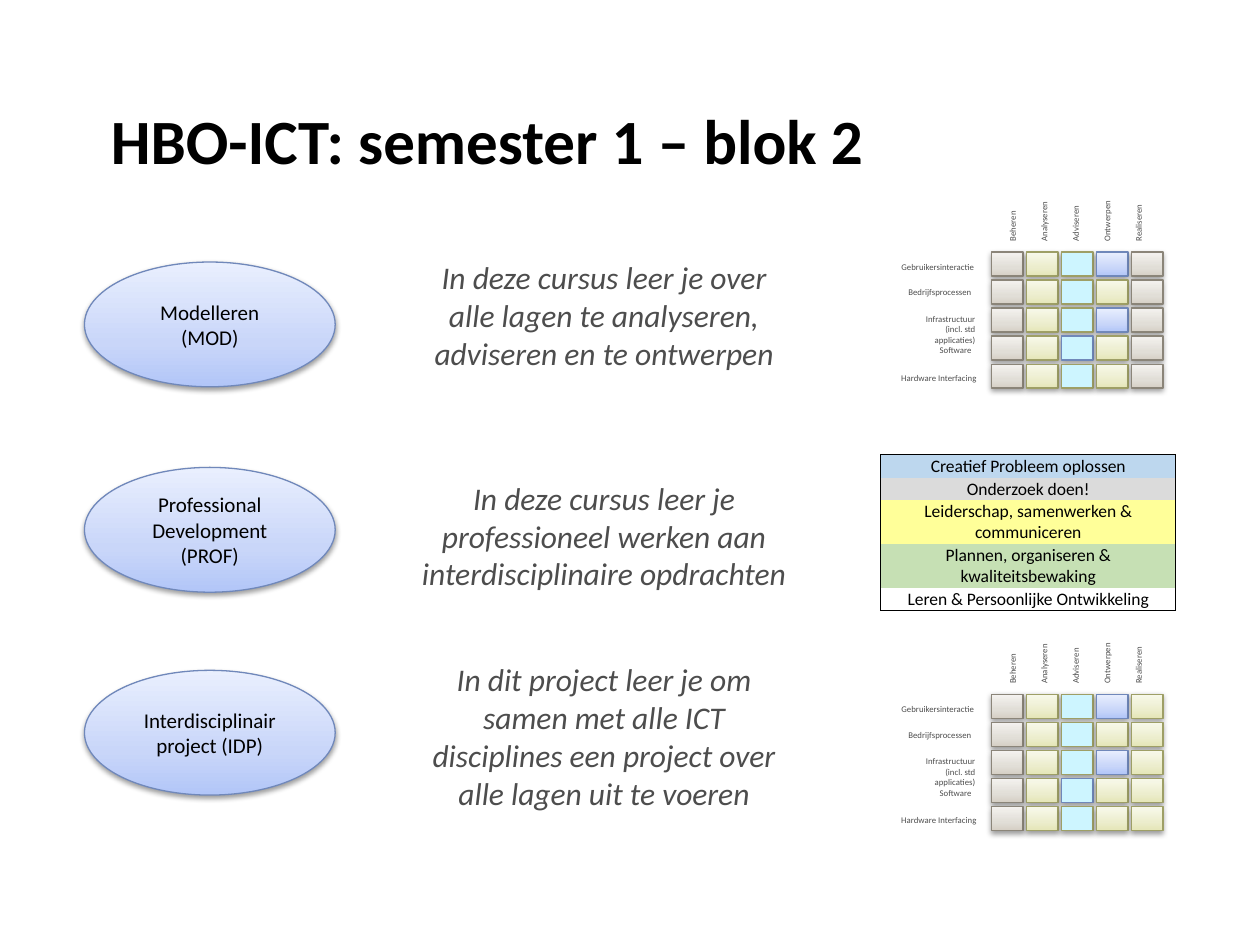
from dataclasses import dataclass

from lxml import etree
from pptx import Presentation
from pptx import util as u
from pptx.dml.color import RGBColor
from pptx.enum import shapes, text
from pptx.oxml.ns import qn


@dataclass(frozen=True)
class Theme:
    font: str = "Calibri"
    black: str = "000000"
    grey: str = "4D4D4D"
    cyan: str = "CDF5FF"
    blue: tuple = ("B2C6F8", "C9D6F9", "E9EFFE")
    green: tuple = ("E5E6B8", "ECEDCD", "F8F9EB")
    neutral: tuple = ("D6D0C6", "E1DED7", "F4F2EF")
    blue_line: str = "7088BA"
    green_line: str = "9E9F66"
    neutral_line: str = "8B8579"
    title_size: int = 36
    body_size: int = 18
    oval_size: int = 12
    table_size: int = 10
    label_size: int = 5


THEME = Theme()
CELL_STYLES = {
    "N": (THEME.neutral, THEME.neutral_line),
    "G": (THEME.green, THEME.green_line),
    "B": (THEME.blue, THEME.blue_line),
    "C": (THEME.cyan, THEME.green_line),
    "c": (THEME.cyan, THEME.blue_line),
}
COURSES = [
    (2.08, "Modelleren (MOD)", 2, 1.01,
     "In deze cursus leer je over alle lagen te analyseren, adviseren en te ontwerpen"),
    (3.71, "Professional Development\n(PROF)", 3.75, 1.01,
     "In deze cursus leer je professioneel werken aan interdisciplinaire opdrachten"),
    (5.32, "Interdisciplinair project (IDP)", 5.19, 1.31,
     "In dit project leer je om samen met alle ICT disciplines een project over alle lagen uit te voeren"),
]
MATRICES = [
    (2, ["NGCBN", "NGCGN", "NGCBN", "NGcGN", "NGCGN"]),
    (5.51, ["NGCBG", "NGCGG", "NGCBG", "NGcGG", "NGCGG"]),
]
ACTIVITIES = "Beheren\nAnalyseren\nAdviseren\nOntwerpen\nRealiseren"
LAYERS = [
    (7.04, 0.03, 0.79, 0.19, "Gebruikersinteractie", False),
    (7.1, 0.23, 0.71, 0.19, "Bedrijfsprocessen", False),
    (7.1, 0.44, 0.74, 0.35, "Infrastructuur (incl. std applicaties)", True),
    (7.35, 0.69, 0.46, 0.19, "Software", False),
    (7.04, 0.91, 0.81, 0.19, "Hardware Interfacing", False),
]
SKILLS = [
    ("Creatief Probleem oplossen", "BDD7EE", 0.18),
    ("Onderzoek doen!", "DBDBDB", 0.17),
    ("Leiderschap, samenwerken & communiceren", "FFFF99", 0.35),
    ("Plannen, organiseren & kwaliteitsbewaking", "C6E0B4", 0.35),
    ("Leren & Persoonlijke Ontwikkeling", None, 0.17),
]
NO_GRID_STYLE = "{2D5ABB26-0587-4C30-8999-92F81FD0307C}"


def add_xml(parent, tag, **attrs):
    return etree.SubElement(parent, qn(tag), {k: str(v) for k, v in attrs.items()})


class SlideBuilder:
    def __init__(self, prs, theme):
        self.theme = theme
        self.slide = prs.slides.add_slide(prs.slide_layouts[5])

    def set_text(self, tf, content, size, color, align, bold=None, italic=None, before=None):
        tf.text = content
        for p in tf.paragraphs:
            p.alignment = align
            if before is not None:
                p.space_before = u.Pt(before)
            for r in p.runs:
                r.font.name = self.theme.font
                r.font.size = u.Pt(size)
                r.font.color.rgb = RGBColor.from_string(color)
                r.font.bold = bold
                r.font.italic = italic

    def title(self, content):
        sp = self.slide.shapes.title
        sp.left, sp.top, sp.width, sp.height = map(u.Inches, (0.78, 0, 8.5, 1.61))
        tf = sp.text_frame
        tf.auto_size = text.MSO_AUTO_SIZE.NONE
        tf.vertical_anchor = text.MSO_ANCHOR.BOTTOM
        tf.margin_bottom = u.Inches(0.2)
        self.set_text(tf, content, self.theme.title_size, self.theme.black,
                      text.PP_ALIGN.LEFT, bold=True)

    def shape(self, parent, kind, box, fill, line):
        sp = parent.add_shape(kind, *map(u.Inches, box))
        if isinstance(fill, tuple):
            sp.fill.gradient()
            sp.fill.gradient_angle = 90
            stops = sp._element.spPr.find(".//" + qn("a:gsLst"))
            for stop in list(stops):
                stops.remove(stop)
            for pos, color in zip((0, 35000, 100000), fill):
                add_xml(add_xml(stops, "a:gs", pos=pos), "a:srgbClr", val=color)
        else:
            sp.fill.solid()
            sp.fill.fore_color.rgb = RGBColor.from_string(fill)
        sp.line.color.rgb = RGBColor.from_string(line)
        sp.line.width = u.Pt(0.75)
        sp.shadow.inherit = False
        effects = sp._element.spPr.find(qn("a:effectLst"))
        shadow = add_xml(effects, "a:outerShdw", blurRad=u.Pt(3.1), dist=u.Pt(1.6),
                         dir=5400000, rotWithShape=0)
        add_xml(add_xml(shadow, "a:srgbClr", val=self.theme.black), "a:alpha", val=38000)
        return sp

    def oval(self, top, content):
        sp = self.shape(self.slide.shapes, shapes.MSO_SHAPE.OVAL, (0.67, top, 1.99, 0.99),
                        self.theme.blue, self.theme.blue_line)
        sp.text_frame.vertical_anchor = text.MSO_ANCHOR.MIDDLE
        self.set_text(sp.text_frame, content, self.theme.oval_size, self.theme.black,
                      text.PP_ALIGN.CENTER)

    def textbox(self, parent, box, content, size, align, wrap=True, **style):
        sp = parent.add_textbox(*map(u.Inches, box))
        sp.text_frame.word_wrap = wrap
        self.set_text(sp.text_frame, content, size, self.theme.grey, align, **style)
        return sp

    def matrix(self, top, rows):
        group = self.slide.shapes.add_group_shape().shapes
        for i, row in enumerate(rows):
            for j, key in enumerate(row):
                box = (7.87 + j * 1.11 / 4, top + i * 0.89 / 4, 0.25, 0.19)
                self.shape(group, shapes.MSO_SHAPE.RECTANGLE, box, *CELL_STYLES[key])
        size = self.theme.label_size
        heads = self.textbox(group, (8.32, top - 0.89, 0.53, 1.28), ACTIVITIES, size,
                             text.PP_ALIGN.LEFT, wrap=False, before=12)
        heads.text_frame.paragraphs[0].space_before = u.Pt(0)
        heads.rotation = 270
        for left, offset, width, height, label, wrap in LAYERS:
            self.textbox(group, (left, top + offset, width, height), label, size,
                         text.PP_ALIGN.RIGHT, wrap=wrap, before=4)

    def border(self, cell, side):
        ln = add_xml(cell._tc.get_or_add_tcPr(), "a:ln" + side, w=u.Pt(0.5))
        add_xml(add_xml(ln, "a:solidFill"), "a:srgbClr", val=self.theme.black)

    def table(self, box, rows):
        frame = self.slide.shapes.add_table(len(rows), 1, *map(u.Inches, box))
        table = frame.table
        table.first_row = table.horz_banding = False
        table._tbl.tblPr.find(qn("a:tableStyleId")).text = NO_GRID_STYLE
        for i, (content, fill, height) in enumerate(rows):
            table.rows[i].height = u.Inches(height)
            cell = table.cell(i, 0)
            cell.margin_left = cell.margin_right = cell.margin_top = u.Inches(0.01)
            cell.margin_bottom = 0
            sides = "LR" + ("T" if i == 0 else "") + ("B" if i == len(rows) - 1 else "")
            for side in sides:
                self.border(cell, side)
            if fill:
                cell.fill.solid()
                cell.fill.fore_color.rgb = RGBColor.from_string(fill)
            else:
                cell.fill.background()
            self.set_text(cell.text_frame, content, self.theme.table_size, self.theme.black,
                          text.PP_ALIGN.CENTER)


def main():
    prs = Presentation()
    prs.slide_width, prs.slide_height = u.Inches(10), u.Inches(7.5)
    s = SlideBuilder(prs, THEME)
    s.title("HBO-ICT: semester 1 – blok 2")
    for oval_top, name, top, height, description in COURSES:
        s.oval(oval_top, name)
        s.textbox(s.slide.shapes, (3.21, top, 3.17, height), description,
                  THEME.body_size, text.PP_ALIGN.CENTER, italic=True)
    for top, rows in MATRICES:
        s.matrix(top, rows)
    s.table((6.99, 3.61, 2.34, 1.22), SKILLS)
    prs.save("out.pptx")


if __name__ == "__main__":
    main()
